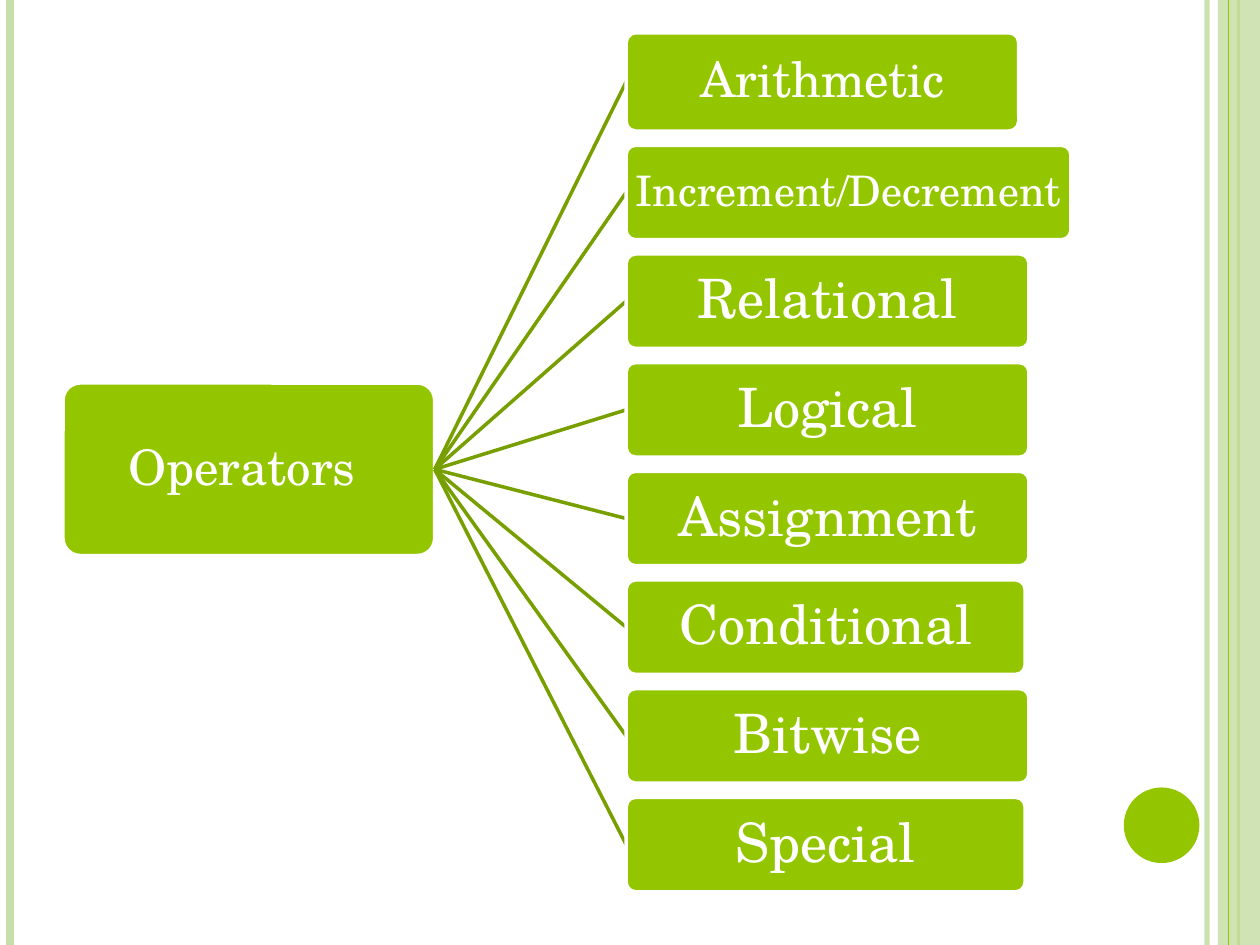
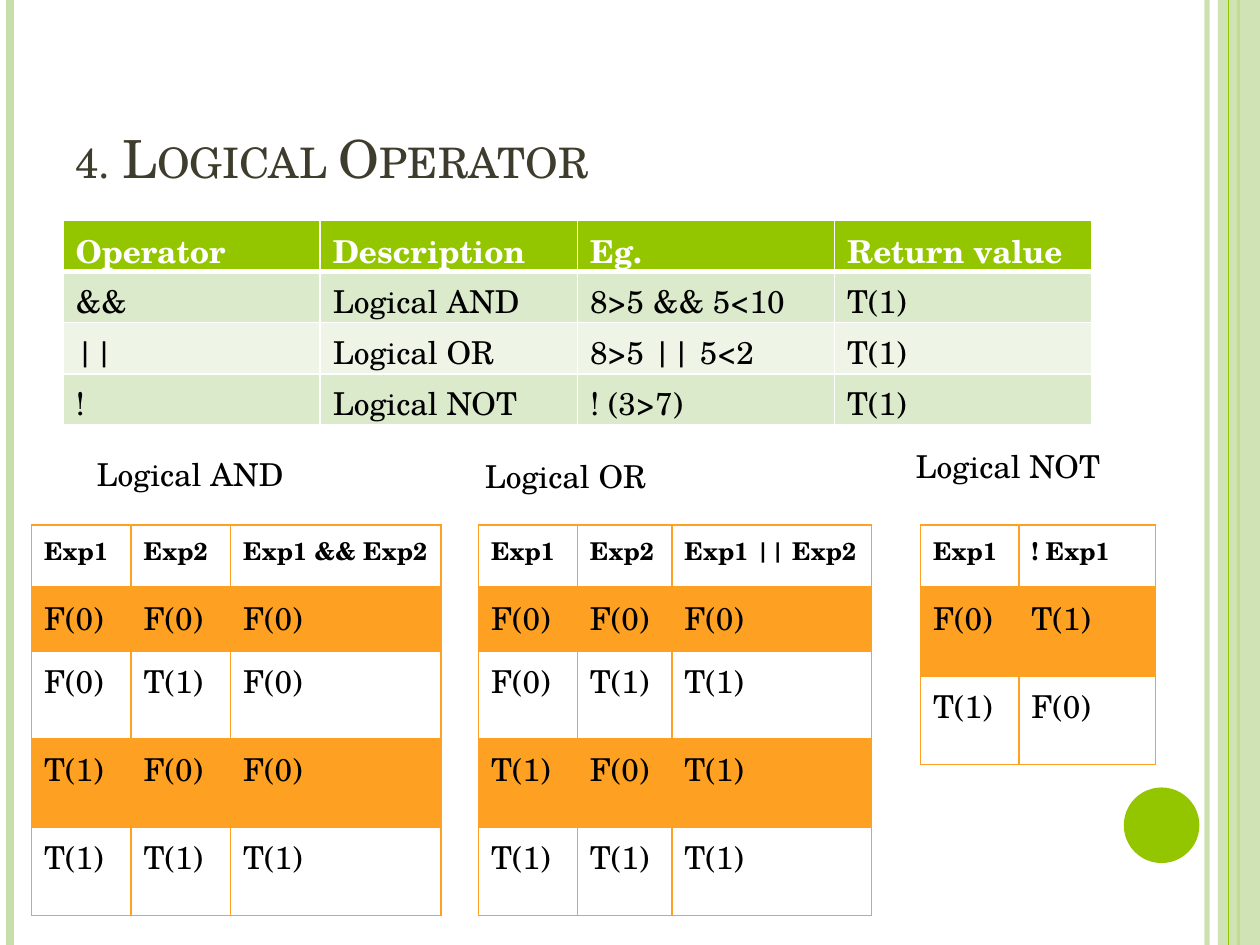
from lxml import etree
from pptx import Presentation
from pptx.dml.color import RGBColor
from pptx.enum import shapes, text
from pptx.oxml import ns
from pptx.util import Pt

FONT = "TeX Gyre Schola"
GREEN, DARK_GREEN, PALE_GREEN = "94C600", "779F00", "C8DFAB"
ORANGE, WHITE, BLACK, TITLE = "FEA022", "FFFFFF", "000000", "3E3D2D"
W, H = 720, 540

RULES = [(689.8, PALE_GREEN, 3, 93), (5.8, PALE_GREEN, 4.5, 100), (707.8, GREEN, 1.5, 100)]
BAND_RULE = (702, GREEN, 0.75, 100)

ROOT = ("Operators ", 36, 218.9, 212.4, 98.6, 28)
BRANCHES = [
    ("Arithmetic", 224.4, 56.2, 28),
    ("Increment/Decrement", 254.2, 54, 24),
    ("Relational", 230.2, 54, 31),
    ("Logical", 230.2, 54, 31),
    ("Assignment", 230.2, 54, 31),
    ("Conditional", 228, 54, 31),
    ("Bitwise", 230.2, 54, 31),
    ("Special", 228, 54, 31),
]
BRANCH_X, BRANCH_Y, BRANCH_GAP = 357.8, 18.7, 8.1

OPERATORS = [
    ["Operator", "Description", "Eg.", "Return value"],
    ["&&", "Logical AND", "8>5 && 5<10", "T(1)"],
    ["||", "Logical OR", "8>5 || 5<2", "T(1)"],
    ["!", "Logical NOT", "! (3>7)", "T(1)"],
]
F, T = "F(0)", "T(1)"
TRUTH_TABLES = [
    ("Logical AND ", 48.2, 256.3, 127.4, 18, [56.9, 56.9, 120.2],
     [["Exp1", "Exp2", "Exp1 && Exp2"], [F, F, F], [F, T, F], [T, F, F], [T, T, T]]),
    ("Logical OR ", 270, 257.8, 112.3, 273.4, [56.5, 54, 114.1],
     [["Exp1", "Exp2", "Exp1 || Exp2"], [F, F, F], [F, T, T], [T, F, T], [T, T, T]]),
    ("Logical NOT", 516.2, 252, 121, 526, [56.2, 78],
     [["Exp1", "! Exp1"], [F, T], [T, F]]),
]
TRUTH_Y, HEAD_ROW, FIRST_ROW, TALL_ROW = 300, 36, 36, 50.4


def rgb(value):
    return RGBColor.from_string(value)


def paint(fill, color, alpha=100):
    fill.solid()
    fill.fore_color.rgb = rgb(color)
    if alpha < 100:
        clr = fill._xPr.find(".//" + ns.qn("a:srgbClr"))
        etree.SubElement(clr, ns.qn("a:alpha"), val=str(alpha * 1000))


def add_line(s, x1, y1, x2, y2, color, width, alpha=100):
    line = s.shapes.add_connector(shapes.MSO_CONNECTOR.STRAIGHT, Pt(x1), Pt(y1), Pt(x2), Pt(y2))
    line.line.width = Pt(width)
    paint(line.line.fill, color, alpha)
    etree.SubElement(line._element.spPr, ns.qn("a:effectLst"))


def add_shape(s, kind, x, y, w, h, color, alpha=100):
    sp = s.shapes.add_shape(kind, Pt(x), Pt(y), Pt(w), Pt(h))
    sp.shadow.inherit = False
    paint(sp.fill, color, alpha)
    sp.line.fill.background()
    return sp


def write(tf, words, size, color, bold=False):
    tf.text = words
    r = tf.paragraphs[0].runs[0]
    r.font.name, r.font.size, r.font.bold = FONT, Pt(size), bold
    r.font.color.rgb = rgb(color)
    return r


def add_text(s, words, x, y, w, h, size, color):
    tf = s.shapes.add_textbox(Pt(x), Pt(y), Pt(w), Pt(h)).text_frame
    return tf, write(tf, words, size, color)


def add_box(s, words, x, y, w, h, size):
    sp = add_shape(s, shapes.MSO_SHAPE.ROUNDED_RECTANGLE, x, y, w, h, GREEN)
    sp.adjustments[0] = 0.1
    sp.line.color.rgb = rgb(WHITE)
    sp.line.width = Pt(2)
    tf = sp.text_frame
    tf.margin_left = tf.margin_right = tf.margin_top = tf.margin_bottom = Pt(1.5)
    tf.vertical_anchor = text.MSO_ANCHOR.MIDDLE
    write(tf, words, size, WHITE)
    p = tf.paragraphs[0]
    p.alignment = text.PP_ALIGN.CENTER
    p.line_spacing = 0.9


def add_border(cell, side, color, width):
    ln = etree.SubElement(cell._tc.get_or_add_tcPr(), ns.qn("a:ln" + side), w=str(Pt(width)))
    fill = etree.SubElement(ln, ns.qn("a:solidFill"))
    etree.SubElement(fill, ns.qn("a:srgbClr"), val=color)


def add_table(s, x, y, widths, heights, rows, border, head_rule, head, bands):
    head_size, head_color, head_fill = head
    tbl = s.shapes.add_table(len(rows), len(widths), Pt(x), Pt(y),
                             Pt(sum(widths)), Pt(sum(heights))).table
    tbl.first_row = tbl.horz_banding = False
    for col, w in zip(tbl.columns, widths):
        col.width = Pt(w)
    for i, row in enumerate(rows):
        tbl.rows[i].height = Pt(heights[i])
        for j, words in enumerate(row):
            cell = tbl.cell(i, j)
            for side in "LRTB":
                heavy = (i, side) in [(0, "B"), (1, "T")]
                add_border(cell, side, border, head_rule if heavy else 1)
            fill = head_fill if i == 0 else bands[(i - 1) % 2]
            if fill:
                paint(cell.fill, *fill)
            else:
                cell.fill.background()
            if i == 0:
                write(cell.text_frame, words, head_size, head_color, True)
            else:
                write(cell.text_frame, words, 18, BLACK)


def add_slide(prs):
    s = prs.slides.add_slide(prs.slide_layouts[6])
    for x, color, width, alpha in RULES:
        add_line(s, x, 0, x, H, color, width, alpha)
    add_shape(s, shapes.MSO_SHAPE.RECTANGLE, 696, 0, 24, H, PALE_GREEN, 87)
    x, color, width, alpha = BAND_RULE
    add_line(s, x, 0, x, H, color, width, alpha)
    add_shape(s, shapes.MSO_SHAPE.OVAL, 642.2, 450, 43.2, 43.2, GREEN)
    return s


def operator_tree(prs):
    s = add_slide(prs)
    words, x, y, w, h, size = ROOT
    add_box(s, *ROOT)
    top = BRANCH_Y
    for words, width, height, size in BRANCHES:
        add_line(s, x + w, y + h / 2, BRANCH_X, top + height / 2, DARK_GREEN, 2)
        add_box(s, words, BRANCH_X, top, width, height, size)
        top += height + BRANCH_GAP


def logical_operator(prs):
    s = add_slide(prs)
    tf, r = add_text(s, "4. Logical Operator ", 36, 21.6, 588, 90, 30, TITLE)
    tf.word_wrap = True
    tf.vertical_anchor = text.MSO_ANCHOR.BOTTOM
    r.font._element.set("cap", "small")
    add_table(s, 36, 126, [147] * 4, [29.2] * 4, OPERATORS, WHITE, 3,
              (18, WHITE, (GREEN,)), [("DCEACC",), ("EEF5E7",)])
    for label, label_x, label_y, label_w, x, widths, rows in TRUTH_TABLES:
        tf, r = add_text(s, label, label_x, label_y, label_w, 29, 18, BLACK)
        tf.word_wrap = False
        tf.auto_size = text.MSO_AUTO_SIZE.SHAPE_TO_FIT_TEXT
        heights = [HEAD_ROW] + [TALL_ROW] * (len(rows) - 1)
        if len(rows) > 3:
            heights[1] = FIRST_ROW
        add_table(s, x, TRUTH_Y, widths, heights, rows, ORANGE, 2,
                  (14, BLACK, None), [(ORANGE, 20), None])


prs = Presentation()
prs.slide_width, prs.slide_height = Pt(W), Pt(H)
operator_tree(prs)
logical_operator(prs)
prs.save("out.pptx")
